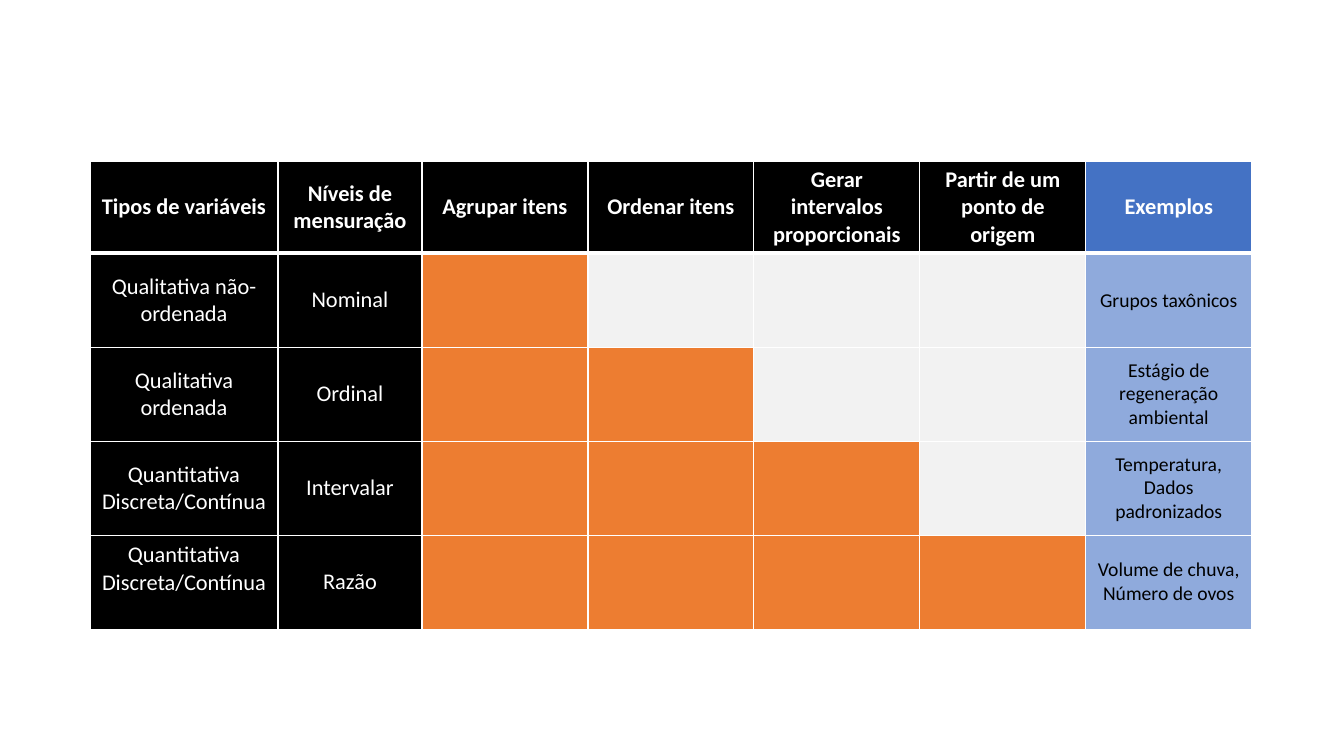
from lxml.etree import SubElement
from pptx import Presentation
from pptx.dml.color import RGBColor
from pptx.enum.text import MSO_ANCHOR, PP_ALIGN
from pptx.oxml.ns import qn
from pptx.util import Pt

SCALE = 914400 / 100.8
FONT = "Calibri"
BLACK = RGBColor(0x00, 0x00, 0x00)
WHITE = RGBColor(0xFF, 0xFF, 0xFF)
BLUE = RGBColor(0x44, 0x72, 0xC4)
LIGHT_BLUE = RGBColor(0x8F, 0xAA, 0xDC)
ORANGE = RGBColor(0xED, 0x7D, 0x31)
GREY = RGBColor(0xF2, 0xF2, 0xF2)

TABLE_BOX = (90, 161, 1162, 468)
COLUMN_WIDTHS = [188, 144] + [166] * 5
HEADER_HEIGHT = 92
RAISED_MARGIN = 32
HEADERS = ["Tipos de variáveis", "Níveis de mensuração", "Agrupar itens", "Ordenar itens",
           "Gerar intervalos proporcionais", "Partir de um ponto de origem", "Exemplos"]
OPERATIONS = len(HEADERS) - 3
LEVELS = [
    ("Qualitativa não-ordenada", "Nominal", "Grupos taxônicos"),
    ("Qualitativa ordenada", "Ordinal", "Estágio de regeneração ambiental"),
    ("Quantitativa Discreta/Contínua", "Intervalar", "Temperatura, Dados padronizados"),
    ("Quantitativa Discreta/Contínua", "Razão", "Volume de chuva, Número de ovos"),
]


def px(length):
    """Turn pixels into EMU."""
    return round(length * SCALE)


def write_text(cell, text, size=16, color=WHITE, bold=False):
    """Write centred text into a table cell."""
    cell.vertical_anchor = MSO_ANCHOR.MIDDLE
    paragraph = cell.text_frame.paragraphs[0]
    paragraph.alignment = PP_ALIGN.CENTER
    run = paragraph.add_run()
    run.text = text
    run.font.name, run.font.size, run.font.bold = FONT, Pt(size), bold
    run.font.color.rgb = color


def style_cell(cell, fill, top=1, bottom=1):
    """Give a cell white borders and a solid fill."""
    properties = cell._tc.get_or_add_tcPr()
    for side, width in (("L", 1), ("R", 1), ("T", top), ("B", bottom)):
        line = SubElement(properties, qn(f"a:ln{side}"), w=str(Pt(width)))
        solid = SubElement(line, qn("a:solidFill"))
        SubElement(solid, qn("a:srgbClr"), val=str(WHITE))
    cell.fill.solid()
    cell.fill.fore_color.rgb = fill


def fill_header(table):
    """Fill the heading row, whose last cell is blue."""
    for column, text in enumerate(HEADERS):
        cell = table.cell(0, column)
        style_cell(cell, BLUE if text == HEADERS[-1] else BLACK, bottom=3)
        write_text(cell, text, bold=True)


def fill_level(table, row, kind, level, example):
    """Fill one level, with as many orange cells as its rank."""
    operations = [ORANGE if rank < row else GREY for rank in range(OPERATIONS)]
    for column, fill in enumerate([BLACK, BLACK, *operations, LIGHT_BLUE]):
        style_cell(table.cell(row, column), fill, top=3 if row == 1 else 1)
    write_text(table.cell(row, 0), kind)
    write_text(table.cell(row, 1), level)
    write_text(table.cell(row, len(HEADERS) - 1), example, size=14, color=BLACK)


def add_variables_table(slide, box):
    """Add the table of variable types inside the box."""
    left, top, width, height = box
    frame = slide.shapes.add_table(len(LEVELS) + 1, len(HEADERS),
                                   px(left), px(top), px(width), px(height))
    table = frame.table
    table.horz_banding = False
    for column, column_width in zip(table.columns, COLUMN_WIDTHS):
        column.width = px(column_width)
    level_height = (height - HEADER_HEIGHT) // len(LEVELS)
    for row, row_height in zip(table.rows, [HEADER_HEIGHT] + [level_height] * len(LEVELS)):
        row.height = px(row_height)
    fill_header(table)
    for row, level in enumerate(LEVELS, start=1):
        fill_level(table, row, *level)
    table.cell(len(LEVELS), 0).margin_bottom = px(RAISED_MARGIN)


def main():
    """Build and save the presentation."""
    presentation = Presentation()
    presentation.slide_width, presentation.slide_height = px(1344), px(756)
    slide = presentation.slides.add_slide(presentation.slide_layouts[6])
    add_variables_table(slide, TABLE_BOX)
    presentation.save("out.pptx")


main()
